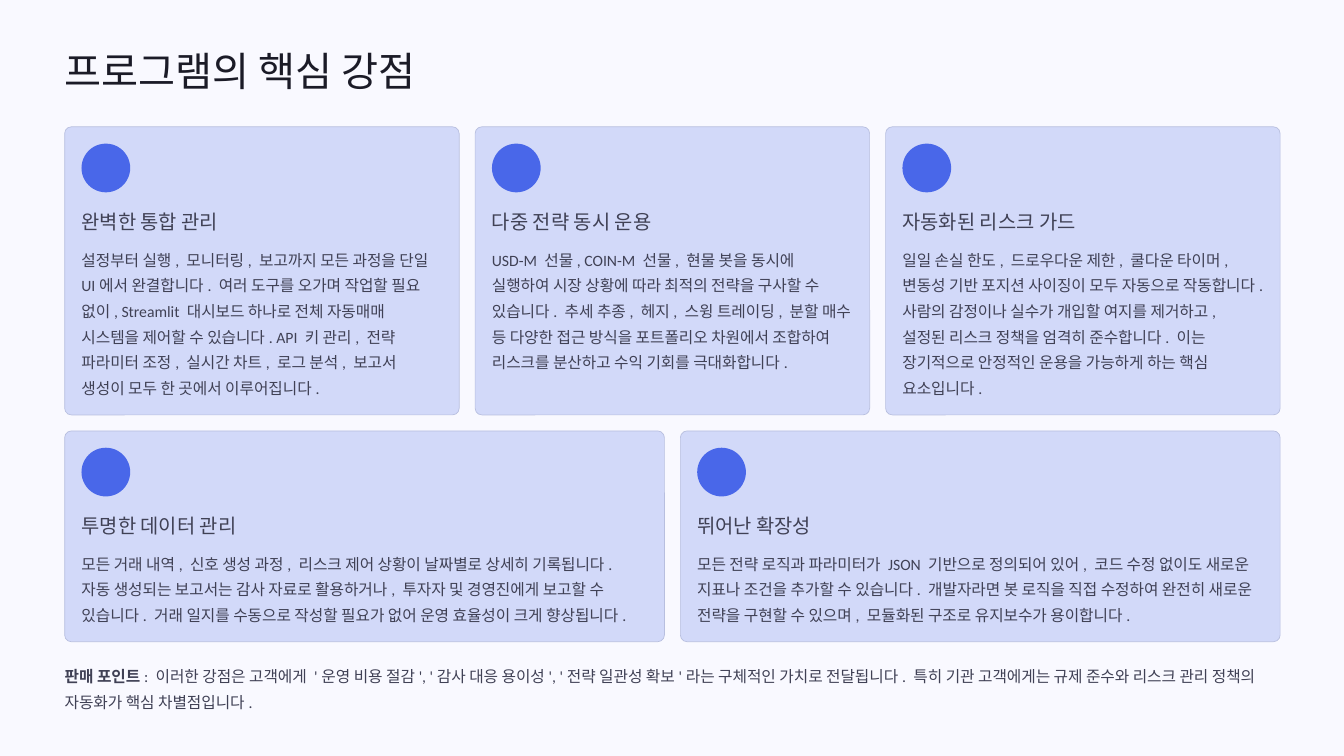
"""Build a slide with five strength cards in two rows and a closing sales point."""
from pptx import Presentation
from pptx.dml.color import RGBColor
from pptx.enum.shapes import MSO_SHAPE
from pptx.util import Inches, Pt

MARGIN, GAP, PADDING = 0.77, 0.19, 0.2
CONTENT_WIDTH = 14.47
ICON_SIZE = 0.58
CORNER_RADIUS = 0.08
BODY_TOP = 1.39
INK = "404155"

CARD_ROWS = [
    (1.51, 3.43, [
        ("완벽한 통합 관리",
         "설정부터 실행, 모니터링, 보고까지 모든 과정을 단일 UI에서 완결합니다. 여러 도구를 오가며 "
         "작업할 필요 없이, Streamlit 대시보드 하나로 전체 자동매매 시스템을 제어할 수 있습니다. "
         "API 키 관리, 전략 파라미터 조정, 실시간 차트, 로그 분석, 보고서 생성이 모두 한 곳에서 "
         "이루어집니다."),
        ("다중 전략 동시 운용",
         "USD-M 선물, COIN-M 선물, 현물 봇을 동시에 실행하여 시장 상황에 따라 최적의 전략을 "
         "구사할 수 있습니다. 추세 추종, 헤지, 스윙 트레이딩, 분할 매수 등 다양한 접근 방식을 "
         "포트폴리오 차원에서 조합하여 리스크를 분산하고 수익 기회를 극대화합니다."),
        ("자동화된 리스크 가드",
         "일일 손실 한도, 드로우다운 제한, 쿨다운 타이머, 변동성 기반 포지션 사이징이 모두 자동으로 "
         "작동합니다. 사람의 감정이나 실수가 개입할 여지를 제거하고, 설정된 리스크 정책을 엄격히 "
         "준수합니다. 이는 장기적으로 안정적인 운용을 가능하게 하는 핵심 요소입니다."),
    ]),
    (5.13, 2.51, [
        ("투명한 데이터 관리",
         "모든 거래 내역, 신호 생성 과정, 리스크 제어 상황이 날짜별로 상세히 기록됩니다. 자동 "
         "생성되는 보고서는 감사 자료로 활용하거나, 투자자 및 경영진에게 보고할 수 있습니다. 거래 "
         "일지를 수동으로 작성할 필요가 없어 운영 효율성이 크게 향상됩니다."),
        ("뛰어난 확장성",
         "모든 전략 로직과 파라미터가 JSON 기반으로 정의되어 있어, 코드 수정 없이도 새로운 지표나 "
         "조건을 추가할 수 있습니다. 개발자라면 봇 로직을 직접 수정하여 완전히 새로운 전략을 구현할 "
         "수 있으며, 모듈화된 구조로 유지보수가 용이합니다."),
    ]),
]
SALES_POINT = (
    ": 이러한 강점은 고객에게 '운영 비용 절감', '감사 대응 용이성', '전략 일관성 확보'라는 구체적인 "
    "가치로 전달됩니다. 특히 기관 고객에게는 규제 준수와 리스크 관리 정책의 자동화가 핵심 "
    "차별점입니다."
)

presentation = Presentation()
presentation.slide_width, presentation.slide_height = Inches(16), Inches(9)
slide = presentation.slides.add_slide(presentation.slide_layouts[6])


def paint(fill, color):
    fill.solid()
    fill.fore_color.rgb = RGBColor.from_string(color)


def add_text(box, text, size, spacing, color=INK, wrap=True):
    text_frame = slide.shapes.add_textbox(*map(Inches, box)).text_frame
    text_frame.margin_left = text_frame.margin_right = 0
    text_frame.margin_top = text_frame.margin_bottom = 0
    text_frame.word_wrap = wrap
    text_frame.text = text
    paragraph = text_frame.paragraphs[0]
    paragraph.line_spacing = Pt(spacing)
    for run in paragraph.runs:
        run.font.name = "Calibri"
        run.font.size = Pt(size)
        paint(run.font.fill, color)
    return paragraph


paint(slide.background.fill, "F9F9FF")
add_text((MARGIN, 0.53, 4.8, 0.6), "프로그램의 핵심 강점", 34.5, 43, "1B1B27", wrap=False)

for top, height, cards in CARD_ROWS:
    width = (CONTENT_WIDTH - GAP * (len(cards) - 1)) / len(cards)
    for column, (heading, body) in enumerate(cards):
        left = MARGIN + column * (width + GAP)
        inner_left = left + PADDING

        card = slide.shapes.add_shape(
            MSO_SHAPE.ROUNDED_RECTANGLE, *map(Inches, (left, top, width, height)))
        card.adjustments[0] = CORNER_RADIUS / height
        card.shadow.inherit = False
        paint(card.fill, "D2D9F9")
        paint(card.line.fill, "B8BFDF")
        card.line.width = Pt(0.6)

        icon = slide.shapes.add_shape(
            MSO_SHAPE.OVAL,
            *map(Inches, (inner_left, top + PADDING, ICON_SIZE, ICON_SIZE)))
        icon.shadow.inherit = False
        paint(icon.fill, "4967E9")
        icon.line.fill.background()

        add_text((inner_left, top + 0.97, 2.4, 0.3), heading, 17, 21.5, wrap=False)
        add_text((inner_left, top + BODY_TOP, width - 2 * PADDING,
                  height - BODY_TOP - PADDING), body, 13.5, 22)

sales_paragraph = add_text((MARGIN, 7.86, CONTENT_WIDTH, 0.61), "판매 포인트", 13.5, 22)
label = sales_paragraph.runs[0]
label.font.bold = True
detail = sales_paragraph.add_run()
detail.text = SALES_POINT
detail.font.name, detail.font.size = label.font.name, label.font.size
paint(detail.font.fill, INK)

presentation.save("out.pptx")
